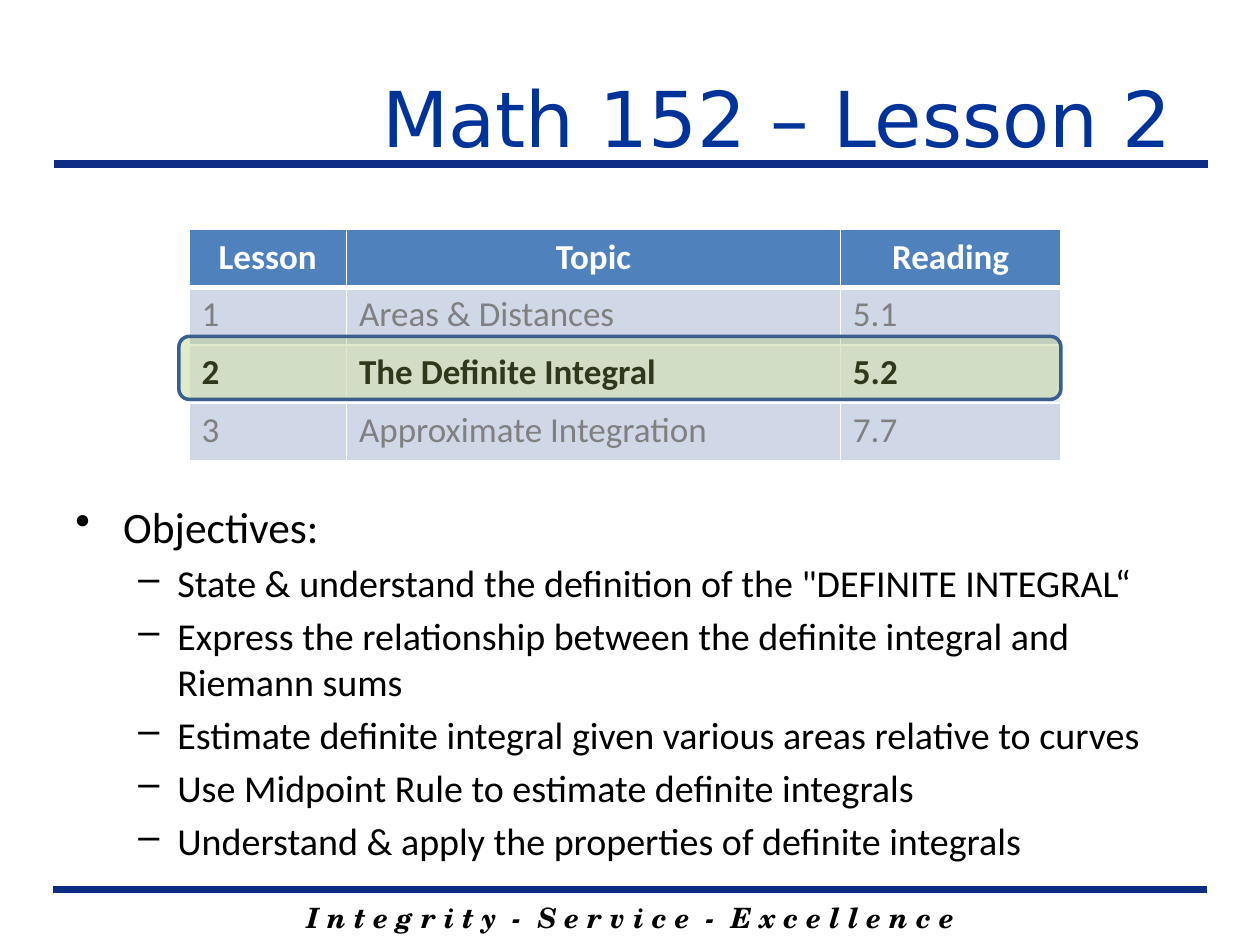
from lxml import etree
from pptx import Presentation
from pptx.dml.color import RGBColor
from pptx.enum.shapes import MSO_CONNECTOR, MSO_SHAPE
from pptx.enum.text import MSO_ANCHOR, PP_ALIGN
from pptx.oxml.ns import qn
from pptx.util import Inches, Pt

STRAIGHT = MSO_CONNECTOR.STRAIGHT
ROUNDED = MSO_SHAPE.ROUNDED_RECTANGLE
LEFT, CENTER, RIGHT = PP_ALIGN.LEFT, PP_ALIGN.CENTER, PP_ALIGN.RIGHT
TOP, MIDDLE = MSO_ANCHOR.TOP, MSO_ANCHOR.MIDDLE

COLORS = {
    "title": "003399",
    "rule": "0C2D83",
    "text": "000000",
    "muted": "808080",
    "white": "FFFFFF",
    "header": "4F81BD",
    "band": "D0D8E8",
    "plain": "E9EDF4",
    "highlight": "9BBB59",
    "outline": "3A5F8C",
}
BODY_FONT = "Calibri"
SCHEDULE = [
    ("Lesson", "Topic", "Reading"),
    ("1", "Areas & Distances", "5.1"),
    ("2", "The Definite Integral", "5.2"),
    ("3", "Approximate Integration", "7.7"),
]
ROW_STYLES = [
    ("header", "white", True, CENTER),
    ("band", "muted", False, LEFT),
    ("plain", "text", True, LEFT),
    ("band", "muted", False, LEFT),
]
COLUMN_WIDTHS = (1.25, 3.92, 1.75)
ROW_HEIGHT = 0.46
OBJECTIVES = [
    "State & understand the definition of the \"DEFINITE INTEGRAL“",
    "Express the relationship between the definite integral and Riemann sums",
    "Estimate definite integral given various areas relative to curves",
    "Use Midpoint Rule to estimate definite integrals",
    "Understand & apply the properties of definite integrals",
]


def rgb(name):
    return RGBColor.from_string(COLORS[name])


def style(paragraph, font_name, size, color, bold=False, italic=False, align=LEFT):
    paragraph.alignment = align
    for run in paragraph.runs:
        font = run.font
        font.name, font.size = font_name, Pt(size)
        font.bold, font.italic = bold, italic
        font.color.rgb = rgb(color)


def add_text_frame(slide, left, top, width, height, anchor=TOP):
    box = slide.shapes.add_textbox(
        Inches(left), Inches(top), Inches(width), Inches(height))
    frame = box.text_frame
    frame.word_wrap = True
    frame.vertical_anchor = anchor
    return frame


def add_rule(slide, left, right, y):
    rule = slide.shapes.add_connector(
        STRAIGHT, Inches(left), Inches(y), Inches(right), Inches(y))
    rule.line.color.rgb = rgb("rule")
    rule.line.width = Pt(4.5)
    etree.SubElement(rule._element.spPr, qn("a:effectLst"))


def add_title(slide):
    frame = add_text_frame(slide, 1.8, 0.3, 7.8, 1.25, MIDDLE)
    frame.margin_right = Inches(0.29)
    frame.text = "Math 152 – Lesson 2"
    style(frame.paragraphs[0], "DejaVu Sans", 44, "title", align=RIGHT)


def add_motto(slide):
    frame = add_text_frame(slide, 1.42, 7.1, 7.17, 0.37)
    frame.text = "I n t e g r i t y  -  S e r v i c e  -  E x c e l l e n c e"
    style(frame.paragraphs[0], "TeX Gyre Schola", 16, "text", True, True, CENTER)


def set_borders(cell, **widths):
    properties = cell._tc.get_or_add_tcPr()
    for side in "LRTB":
        border = etree.SubElement(
            properties, qn(f"a:ln{side}"), w=str(Pt(widths.get(side, 1))))
        fill = etree.SubElement(border, qn("a:solidFill"))
        etree.SubElement(fill, qn("a:srgbClr"), val=COLORS["white"])


def add_schedule(slide):
    table = slide.shapes.add_table(
        len(SCHEDULE), len(COLUMN_WIDTHS), Inches(1.5), Inches(1.82),
        Inches(sum(COLUMN_WIDTHS)), Inches(ROW_HEIGHT * len(SCHEDULE))).table
    for column, width in zip(table.columns, COLUMN_WIDTHS):
        column.width = Inches(width)
    header_edges = {0: {"B": 3}, 1: {"T": 3}}
    for r, (entries, row_style) in enumerate(zip(SCHEDULE, ROW_STYLES)):
        fill, color, bold, align = row_style
        table.rows[r].height = Inches(ROW_HEIGHT)
        for c, entry in enumerate(entries):
            cell = table.cell(r, c)
            cell.text_frame.text = entry
            style(cell.text_frame.paragraphs[0], BODY_FONT, 20, color, bold, align=align)
            set_borders(cell, **header_edges.get(r, {}))
            cell.fill.solid()
            cell.fill.fore_color.rgb = rgb(fill)


def add_highlight(slide):
    highlight = slide.shapes.add_shape(
        ROUNDED, Inches(1.42), Inches(2.67), Inches(7), Inches(0.5))
    highlight.shadow.inherit = False
    highlight.fill.solid()
    highlight.fill.fore_color.rgb = rgb("highlight")
    tint = highlight._element.spPr.find(f"{qn('a:solidFill')}/{qn('a:srgbClr')}")
    etree.SubElement(tint, qn("a:alpha"), val="30000")
    highlight.line.color.rgb = rgb("outline")
    highlight.line.width = Pt(2)


def set_bullet(paragraph, symbol, indent, hanging):
    properties = paragraph._p.get_or_add_pPr()
    properties.set("marL", str(Inches(indent)))
    properties.set("indent", str(-Inches(hanging)))
    etree.SubElement(properties, qn("a:buChar"), char=symbol)


def add_objectives(slide):
    frame = add_text_frame(slide, 0.5, 3.92, 9, 2.78)
    heading = frame.paragraphs[0]
    heading.text = "Objectives:"
    set_bullet(heading, "•", 0.38, 0.38)
    style(heading, BODY_FONT, 24.8, "text")
    for objective in OBJECTIVES:
        item = frame.add_paragraph()
        item.text = objective
        item.level = 1
        set_bullet(item, "–", 0.81, 0.31)
        item.space_before = Pt(4.3)
        style(item, BODY_FONT, 21.7, "text")


def main():
    presentation = Presentation()
    presentation.slide_width = Inches(10)
    presentation.slide_height = Inches(7.5)
    slide = presentation.slides.add_slide(presentation.slide_layouts[6])
    add_motto(slide)
    add_rule(slide, 0.42, 9.58, 7.06)
    add_rule(slide, 0.43, 9.59, 1.3)
    add_title(slide)
    add_objectives(slide)
    add_schedule(slide)
    add_highlight(slide)
    presentation.save("out.pptx")


if __name__ == "__main__":
    main()
